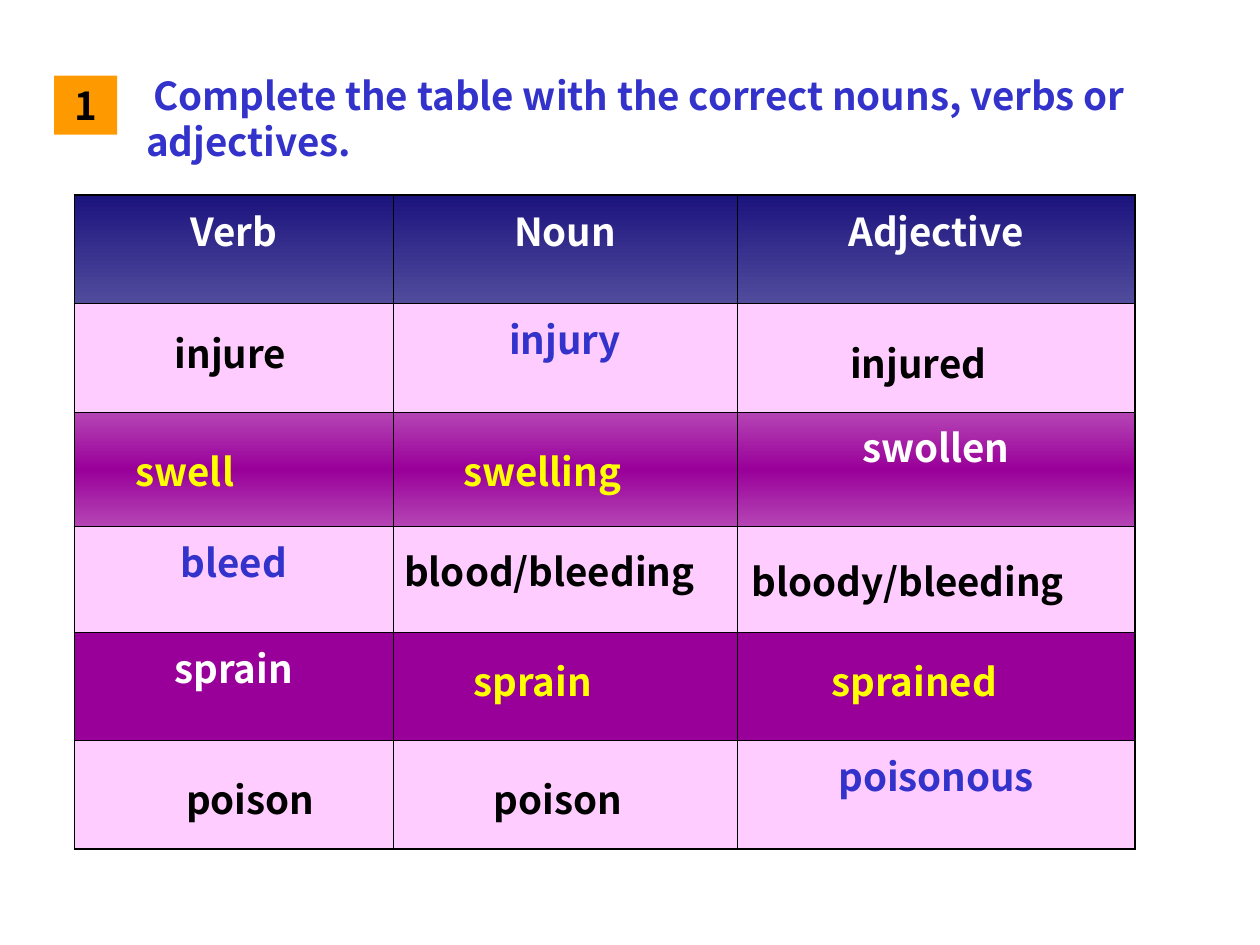
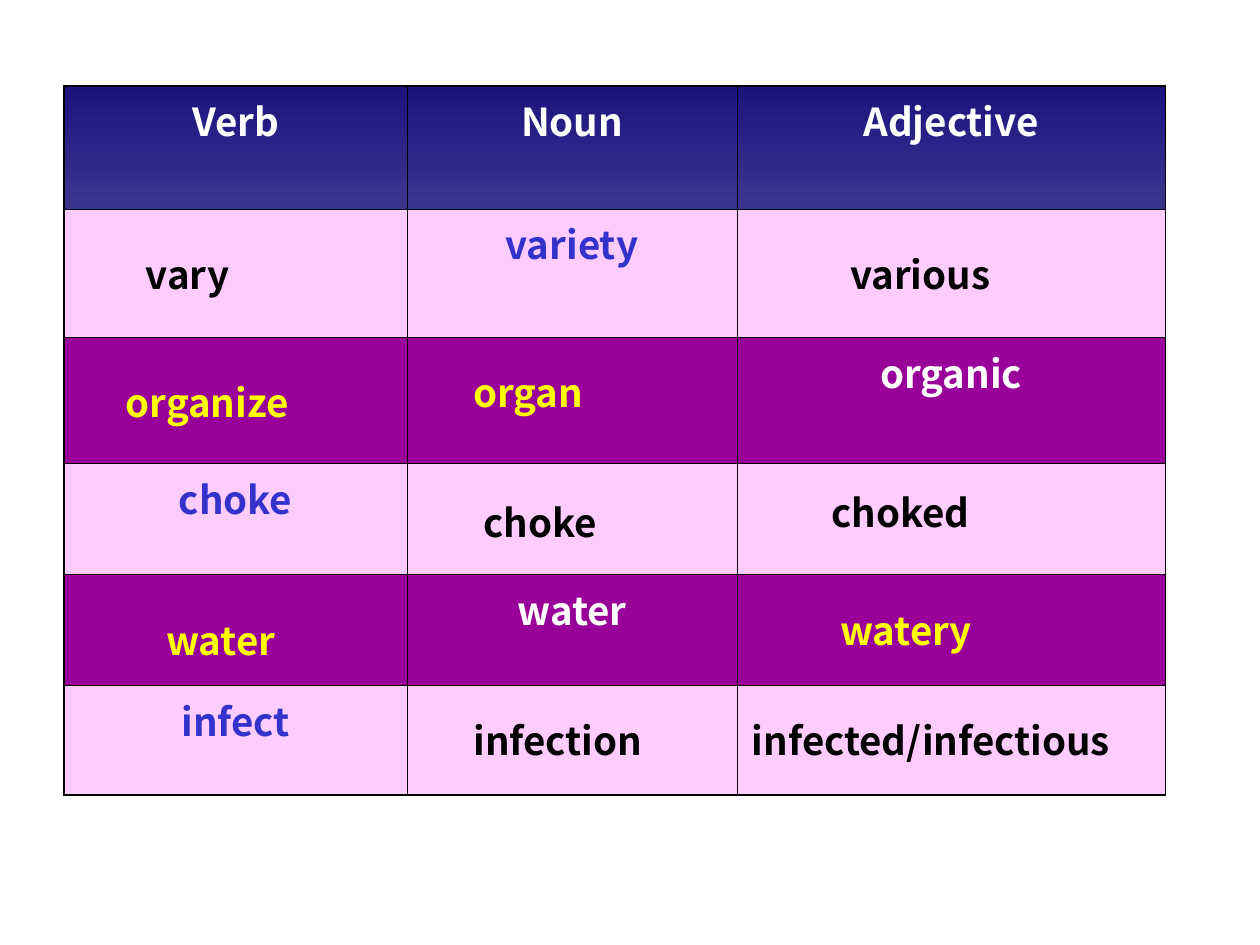
from dataclasses import dataclass

from lxml import etree
from pptx import Presentation
from pptx import util as u
from pptx.dml.color import RGBColor
from pptx.enum import shapes, text
from pptx.oxml.ns import qn

PX = 9144  # EMU in one px, 100 px to the inch


@dataclass(frozen=True)
class Theme:
    font: str = "Noto Sans CJK SC"
    size: float = 22
    black: str = "000000"
    white: str = "FFFFFF"
    blue: str = "3333CC"
    yellow: str = "FFFF00"
    orange: str = "FF9900"
    pink: str = "FFCCFF"
    violet: str = "990099"
    lilac: str = "B545B5"
    navy: str = "1C147E"
    thin: float = 0.45
    thick: float = 1.08


def px(n):
    return u.Emu(n * PX)


class Deck:
    def __init__(self, theme):
        self.theme = theme
        self.prs = Presentation()
        self.prs.slide_width, self.prs.slide_height = px(1000), px(750)
        self.slide = None

    def start(self, layout):
        self.slide = self.prs.slides.add_slide(self.prs.slide_layouts[layout])

    def style(self, frame, words, ink, align=text.PP_ALIGN.LEFT):
        """Put one styled paragraph in a text frame."""
        frame.text = words
        para = frame.paragraphs[0]
        para.alignment = align
        font = para.runs[0].font
        font.name, font.size, font.bold = self.theme.font, u.Pt(self.theme.size), True
        font.color.rgb = RGBColor.from_string(ink)
        return para

    def title(self, words, box, indent):
        head = self.slide.shapes.title
        head.left, head.top, head.width, head.height = map(px, box)
        frame = head.text_frame
        frame.auto_size = text.MSO_AUTO_SIZE.NONE
        frame.vertical_anchor = text.MSO_ANCHOR.TOP
        para = self.style(frame, words, self.theme.blue)
        para._p.get_or_add_pPr().set("indent", str(px(indent)))

    def badge(self, words, box):
        mark = self.slide.shapes.add_shape(shapes.MSO_SHAPE.RECTANGLE, *map(px, box))
        mark.shadow.inherit = False
        mark.fill.solid()
        mark.fill.fore_color.rgb = RGBColor.from_string(self.theme.orange)
        mark.line.fill.background()
        mark.text_frame.vertical_anchor = text.MSO_ANCHOR.TOP
        self.style(mark.text_frame, words, self.theme.black, text.PP_ALIGN.CENTER)

    def label(self, words, ink, x, y, w):
        box = self.slide.shapes.add_textbox(px(x), px(y), px(w), px(47))
        box.text_frame.word_wrap = True
        self.style(box.text_frame, words, ink)

    def paint(self, cell, hues):
        """Fill a cell with one colour, or with a downward gradient."""
        if len(hues) == 1:
            cell.fill.solid()
            cell.fill.fore_color.rgb = RGBColor.from_string(hues[0])
            return
        grad = etree.SubElement(cell._tc.get_or_add_tcPr(), qn("a:gradFill"))
        stops = etree.SubElement(grad, qn("a:gsLst"))
        for i, hue in enumerate(hues):
            pos = str(100000 * i // (len(hues) - 1))
            stop = etree.SubElement(stops, qn("a:gs"), pos=pos)
            etree.SubElement(stop, qn("a:srgbClr"), val=hue)
        etree.SubElement(grad, qn("a:lin"), ang="5400000", scaled="0")

    def edge(self, cell, outer):
        """Draw the four borders, thick where the table ends."""
        props = cell._tc.get_or_add_tcPr()
        for i, (side, end) in enumerate(zip("LRTB", outer)):
            width = u.Pt(self.theme.thick if end else self.theme.thin)
            line = etree.Element(qn("a:ln" + side), w=str(int(width)))
            fill = etree.SubElement(line, qn("a:solidFill"))
            etree.SubElement(fill, qn("a:srgbClr"), val=self.theme.black)
            props.insert(i, line)

    def grid(self, x, y, cols, rows, fills, words, wide):
        """Build the table; a string is a given word, a tuple an answer."""
        t = self.theme
        frame = self.slide.shapes.add_table(
            len(rows), len(cols), px(x), px(y), px(sum(cols)), px(sum(rows)))
        table = frame.table
        table.first_row = table.horz_banding = False
        for col, w in zip(table.columns, cols):
            col.width = px(w)
        for row, h in zip(table.rows, rows):
            row.height = px(h)
        for r, line in enumerate(words):
            dark = r % 2 == 0
            for c, item in enumerate(line):
                cell = table.cell(r, c)
                cell.margin_left = cell.margin_right = px(10)
                cell.margin_top = cell.margin_bottom = px(5)
                self.paint(cell, fills[r])
                self.edge(cell, (c == 0, c == len(cols) - 1,
                                 r == 0, r == len(rows) - 1))
                if isinstance(item, str):
                    ink = t.white if dark else t.blue
                    self.style(cell.text_frame, item, ink, text.PP_ALIGN.CENTER)
                else:
                    word, left, top, *width = item
                    ink = t.yellow if dark else t.black
                    self.label(word, ink, left, top, *(width or [wide]))


def main():
    t = Theme()
    deck = Deck(t)
    heads = ("Verb", "Noun", "Adjective")
    pink, violet = (t.pink,), (t.violet,)

    # Slide 1: task and first word table
    deck.start(5)
    deck.title("Complete the table with the correct nouns, verbs or adjectives.",
               (106, 52, 803, 84), 6)
    deck.badge("1", (43, 60, 50, 47))
    deck.grid(
        59, 155, (253, 273, 316), (86, 86, 91, 84, 86, 86),
        ((t.navy, "524C9D"), pink, (t.lilac, t.violet, t.lilac), pink, violet, pink),
        (heads,
         (("injure", 129, 257), "injury", ("injured", 665, 265)),
         (("swell", 98, 351), ("swelling", 358, 351), "swollen"),
         ("bleed", ("blood/bleeding", 311, 430, 284), ("bloody/bleeding", 587, 438, 300)),
         ("sprain", ("sprain", 366, 517), ("sprained", 650, 517)),
         (("poison", 138, 611), ("poison", 382, 611), "poisonous")),
        200)

    # Slide 2: second word table
    deck.start(6)
    deck.grid(
        51, 68, (272, 262, 340), (98, 102, 100, 88, 88, 87),
        ((t.navy, "3C3590"), pink, violet, pink, violet, pink),
        (heads,
         (("vary", 106, 194), "variety", ("various", 665, 194)),
         (("organize", 90, 296), ("organ", 366, 288), "organic"),
         ("choke", ("choke", 374, 391), ("choked", 650, 383)),
         (("water", 122, 485), "water", ("watery", 657, 477)),
         ("infect", ("infection", 366, 564), ("infected/infectious", 587, 564, 326))),
        170)

    deck.prs.save("out.pptx")


if __name__ == "__main__":
    main()
